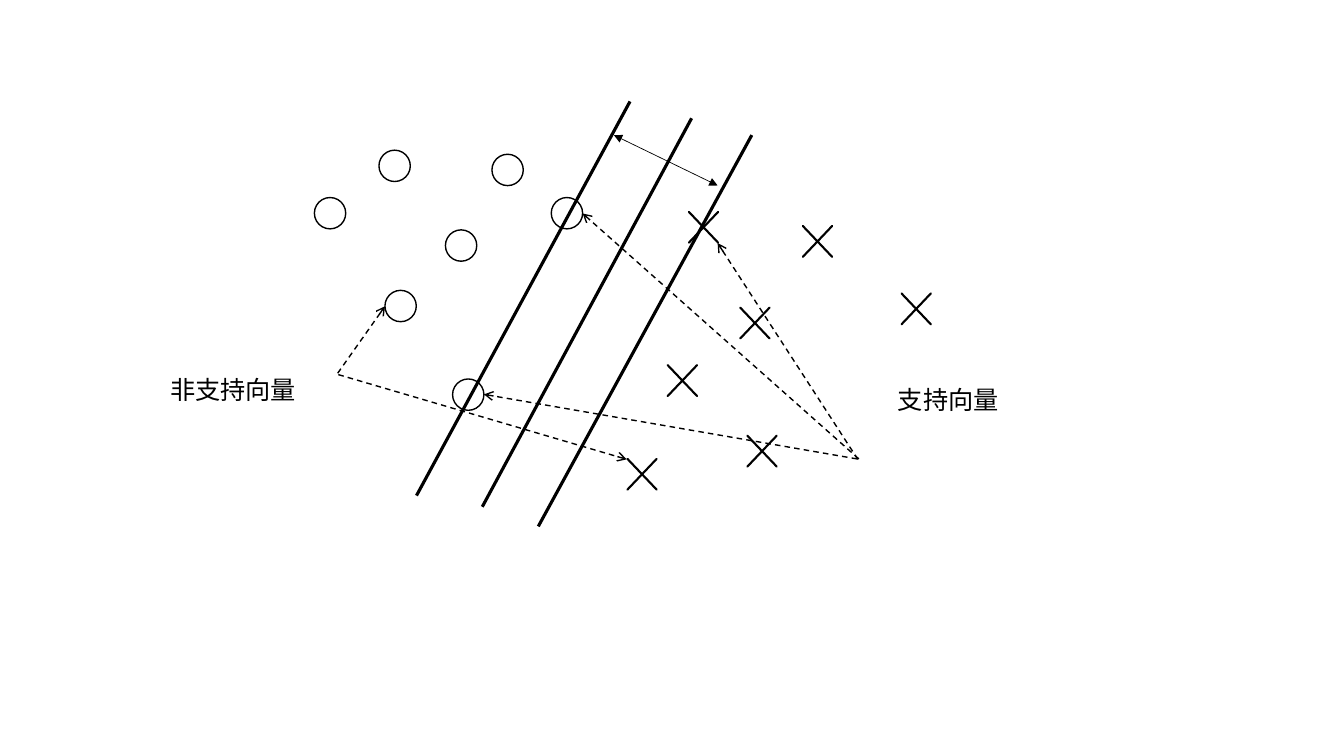
from dataclasses import dataclass

from lxml import etree
from pptx import Presentation
from pptx.dml.color import RGBColor
from pptx.enum.dml import MSO_LINE
from pptx.enum.shapes import MSO_CONNECTOR, MSO_SHAPE
from pptx.enum.text import MSO_AUTO_SIZE
from pptx.oxml.ns import qn
from pptx.util import Pt

OVAL = MSO_SHAPE.OVAL
MULTIPLY = MSO_SHAPE.MATH_MULTIPLY
STRAIGHT = MSO_CONNECTOR.STRAIGHT
DASH = MSO_LINE.DASH
GROW = MSO_AUTO_SIZE.SHAPE_TO_FIT_TEXT


@dataclass(frozen=True)
class Theme:
    ink: RGBColor = RGBColor(0, 0, 0)
    font: str = "Noto Sans CJK SC"
    label_size: Pt = Pt(18)


theme = Theme()

presentation = Presentation()
presentation.slide_width, presentation.slide_height = Pt(960), Pt(540)
slide = presentation.slides.add_slide(presentation.slide_layouts[6])


def add_marker(preset, left, top, width, height, weight):
    shape = slide.shapes.add_shape(preset, Pt(left), Pt(top), Pt(width), Pt(height))
    shape.shadow.inherit = False
    shape.fill.background()
    shape.line.color.rgb = theme.ink
    shape.line.width = Pt(weight)
    return shape


def add_line(start, end, weight, dash=None, head=None, tail=None):
    """Draw a straight line; head is the arrowhead at start, tail the one at end."""
    connector = slide.shapes.add_connector(STRAIGHT, *map(Pt, start + end))
    connector.line.color.rgb = theme.ink
    connector.line.width = Pt(weight)
    if dash:
        connector.line.dash_style = dash
    properties = connector._element.spPr
    outline = properties.find(qn("a:ln"))
    for tag, arrow in (("a:headEnd", head), ("a:tailEnd", tail)):
        if arrow:
            etree.SubElement(outline, qn(tag), type=arrow)
    etree.SubElement(properties, qn("a:effectLst"))


# Left margin, right margin and the separating line between them
for start, end in [
    ((450, 72.5), (297.5, 354)),
    ((537, 96.5), (384.5, 376)),
    ((494, 84.5), (344.5, 362)),
]:
    add_line(start, end, 2.25)

# Circle class
for left, top in [
    (323.3, 270.7), (393.8, 141.1), (275, 207.4), (224.6, 141.1),
    (351.4, 110.2), (318.2, 164.2), (270.7, 107.3),
]:
    add_marker(OVAL, left, top, 22.4, 22.4, 1)

# Cross class
for left, top in [
    (467.3, 250.6), (438.5, 317.5), (524.2, 301), (482.4, 141.1),
    (519.1, 209.5), (563.8, 151.2), (634.3, 199.4),
]:
    cross = add_marker(MULTIPLY, left, top, 40.3, 42.5, 1.5)
    cross.adjustments[0] = 0

# Pointers from the labels to their vectors
for start, end in [
    ((613.5, 327.8), (416.2, 152.5)),
    ((612.2, 327.8), (345.7, 281.7)),
    ((612.8, 328.2), (512.6, 173.6)),
    ((241.2, 266.6), (275, 218.8)),
    ((241.7, 267.6), (447.7, 328.1)),
]:
    add_line(start, end, 1, dash=DASH, tail="arrow")

# Margin width
add_line((438.5, 96.5), (512.6, 132.5), 0.5, head="triangle", tail="triangle")

for text, left, top in [("支持向量", 634.3, 270.7), ("非支持向量", 114.5, 263.8)]:
    label = slide.shapes.add_textbox(Pt(left), Pt(top), Pt(160), Pt(29))
    frame = label.text_frame
    frame.word_wrap = True
    frame.auto_size = GROW
    frame.text = text
    run = frame.paragraphs[0].runs[0]
    run.font.name = theme.font
    run.font.size = theme.label_size
    run.font.color.rgb = theme.ink
    etree.SubElement(run._r.get_or_add_rPr(), qn("a:ea"), typeface=theme.font)

presentation.save("out.pptx")
